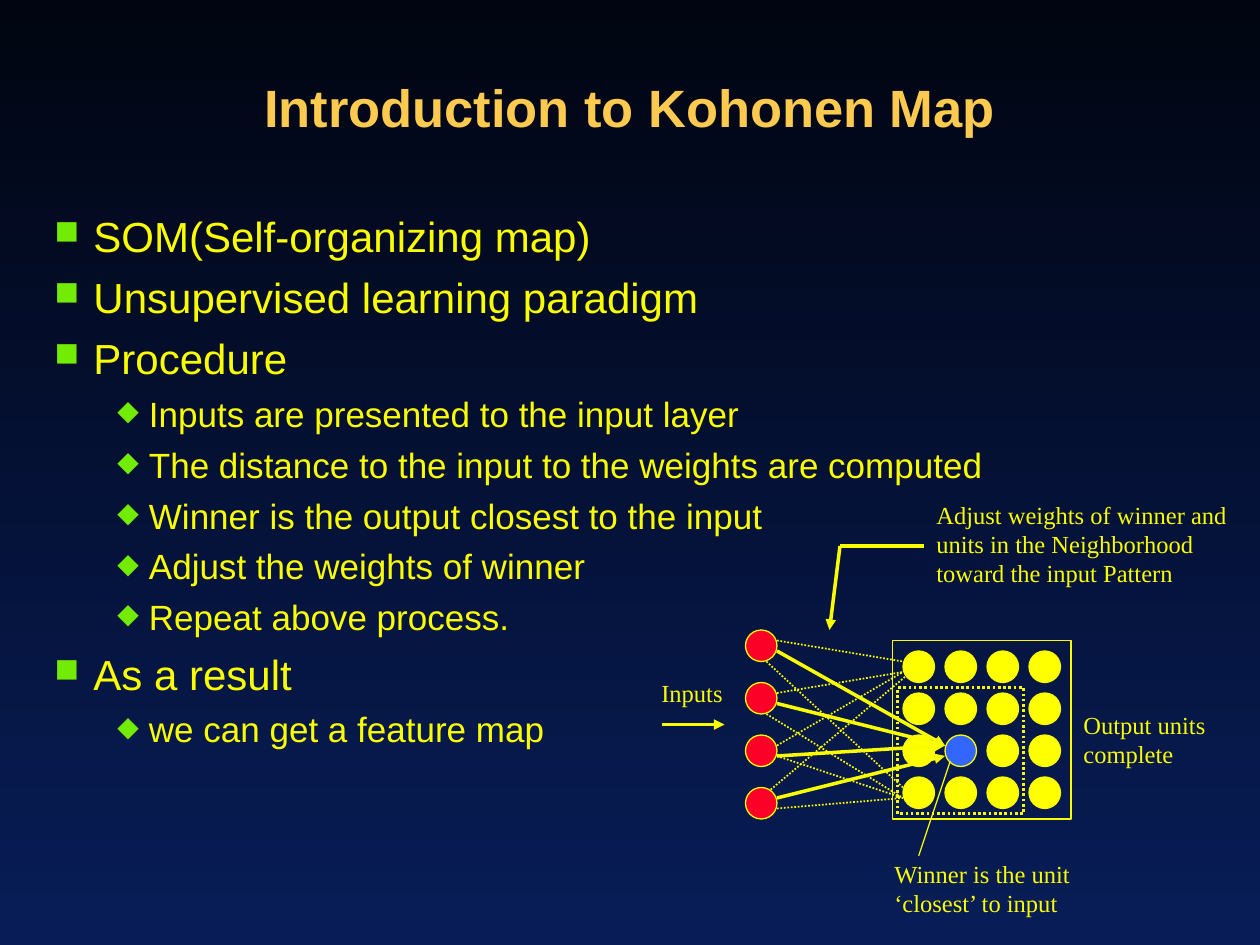
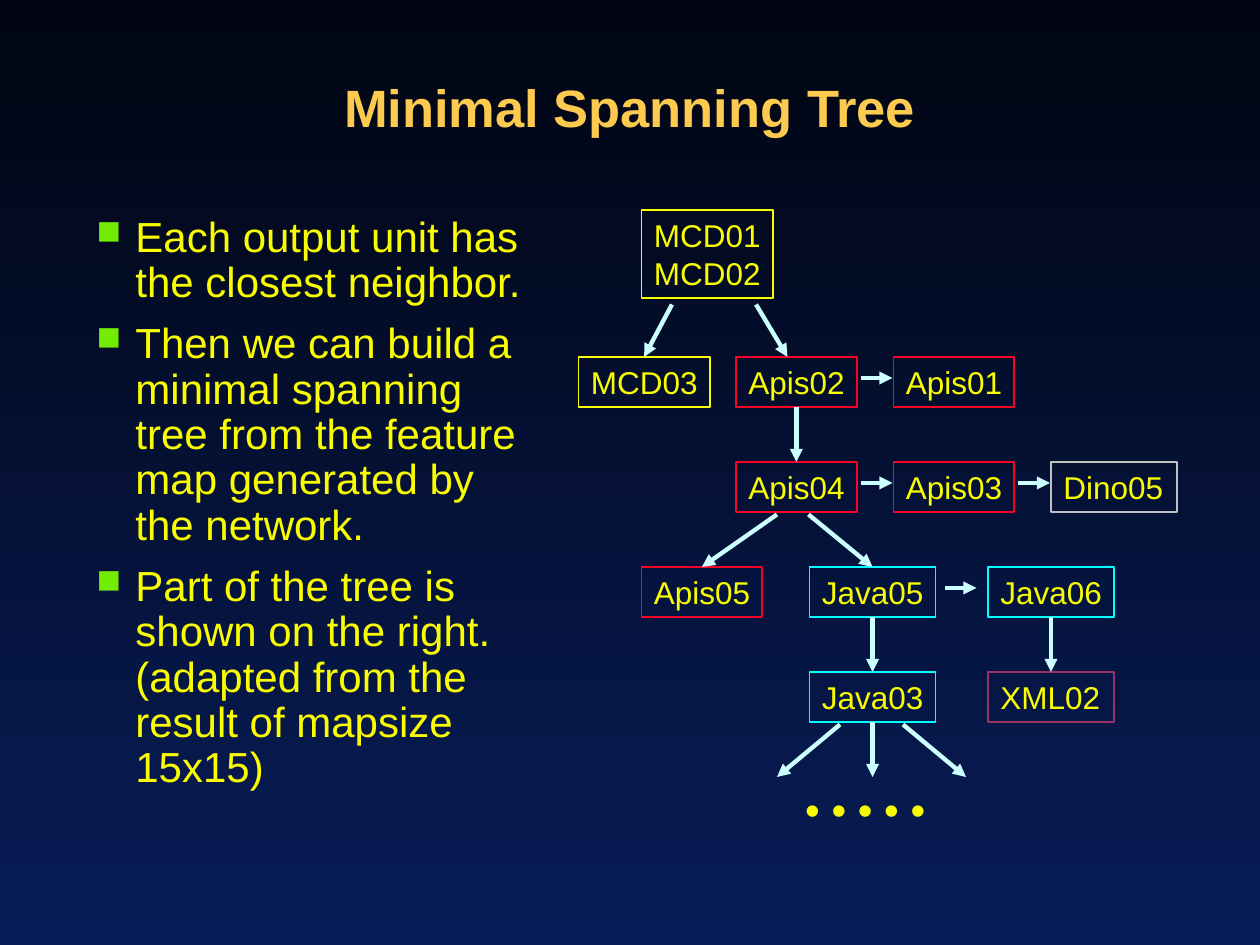
import dataclasses

import lxml.etree
import pptx
import pptx.dml.color
import pptx.enum.dml
import pptx.enum.shapes
import pptx.enum.text
import pptx.oxml.ns
import pptx.util

SLIDE_WIDTH = pptx.util.Inches(10)
SLIDE_HEIGHT = pptx.util.Inches(7.5)
CELL = SLIDE_WIDTH / 120  # the slide is a grid of 120 columns by 90 rows

NIGHT, NAVY = "010511", "081D58"
GOLD, YELLOW, GREEN = "FBCA4F", "FAFD00", "72EC04"
RED, UNIT_YELLOW, WINNER_BLUE = "FC0128", "FFFF00", "3366FF"
CYAN, SILVER, PLUM, PALE_CYAN = "00FFFF", "C0C0C0", "993366", "CCFFFF"
SANS, SERIF = "Arial", "Times New Roman"

RECT = pptx.enum.shapes.MSO_SHAPE.RECTANGLE
OVAL = pptx.enum.shapes.MSO_SHAPE.OVAL
DOTTED = pptx.enum.dml.MSO_LINE.ROUND_DOT
LEFT = pptx.enum.text.PP_ALIGN.LEFT
CENTER = pptx.enum.text.PP_ALIGN.CENTER
TOP = pptx.enum.text.MSO_ANCHOR.TOP
MIDDLE = pptx.enum.text.MSO_ANCHOR.MIDDLE

# level: (indent in inches, hanging in inches, bullet, size, space before)
BULLET_LEVELS = [(0.31, 0.31, "■", 24, 9), (0.75, 0.25, "◆", 20, 7.5)]


def rgb(hex_string):
    return pptx.dml.color.RGBColor.from_string(hex_string)


def add_xml(parent, tag, **attributes):
    return lxml.etree.SubElement(parent, pptx.oxml.ns.qn(tag), **attributes)


def set_stroke(line, color, width, dash=None):
    line.color.rgb = rgb(color)
    line.width = pptx.util.Pt(width)
    if dash:
        line.dash_style = dash


def set_font(paragraph, face, size, color, bold=False):
    for run in paragraph.runs:
        run.font.name = face
        run.font.size = pptx.util.Pt(size)
        run.font.color.rgb = rgb(color)
        run.font.bold = bold


def write_label(frame, text, face, size):
    """Unwrapped, left-aligned text; no right margin, so each line has room."""
    frame.text = text
    frame.word_wrap = False
    frame.auto_size = pptx.enum.text.MSO_AUTO_SIZE.SHAPE_TO_FIT_TEXT
    frame.vertical_anchor = TOP
    frame.margin_right = 0
    for paragraph in frame.paragraphs:
        paragraph.alignment = LEFT
        set_font(paragraph, face, size, YELLOW)


@dataclasses.dataclass
class Region:
    """Part of a slide; its contents are placed in cells from its corner."""
    slide: object
    left: float
    top: float

    def point(self, column, row):
        return round((self.left + column) * CELL), round((self.top + row) * CELL)

    def frame(self, column, row, width, height):
        return *self.point(column, row), round(width * CELL), round(height * CELL)

    def shape(self, kind, cells, stroke, fill=None):
        shape = self.slide.shapes.add_shape(kind, *self.frame(*cells))
        shape.shadow.inherit = False
        if fill:
            shape.fill.solid()
            shape.fill.fore_color.rgb = rgb(fill)
        else:
            shape.fill.background()
        set_stroke(shape.line, *stroke)
        return shape

    def text(self, cells):
        return self.slide.shapes.add_textbox(*self.frame(*cells)).text_frame

    def line(self, start, end, stroke, arrow=False):
        connector = self.slide.shapes.add_connector(
            pptx.enum.shapes.MSO_CONNECTOR.STRAIGHT,
            *self.point(*start), *self.point(*end))
        set_stroke(connector.line, *stroke)
        if arrow:
            add_xml(connector.line._get_or_add_ln(), "a:tailEnd", type="triangle")
        add_xml(connector._element.spPr, "a:effectLst")
        return connector


def new_slide(presentation, title):
    slide = presentation.slides.add_slide(presentation.slide_layouts[6])
    fill = slide.background.fill
    fill.gradient()
    fill.gradient_angle = 270
    for stop, color in zip(fill.gradient_stops, (NIGHT, NAVY)):
        stop.color.rgb = rgb(color)

    frame = Region(slide, 3, 3).text((0, 0, 114, 15))
    frame.word_wrap = True
    frame.vertical_anchor = MIDDLE
    frame.text = title
    heading = frame.paragraphs[0]
    heading.alignment = CENTER
    heading.line_spacing = 0.9
    set_font(heading, SANS, 30, GOLD, bold=True)
    return slide


def add_bullets(region, width, items):
    """Items are (level, text) pairs."""
    frame = region.text((0, 0, width, 67))
    frame.word_wrap = True
    frame.text = "\n".join(text for _, text in items)
    for index, (paragraph, (level, _)) in enumerate(zip(frame.paragraphs, items)):
        indent, hanging, bullet, size, space = BULLET_LEVELS[level]
        properties = paragraph._p.get_or_add_pPr()
        properties.set("marL", str(pptx.util.Inches(indent)))
        properties.set("indent", str(-pptx.util.Inches(hanging)))
        add_xml(add_xml(properties, "a:buClr"), "a:srgbClr", val=GREEN)
        add_xml(properties, "a:buSzPct", val="80000")
        add_xml(properties, "a:buChar", char=bullet)
        paragraph.level = level
        paragraph.line_spacing = 0.9
        if index:
            paragraph.space_before = pptx.util.Pt(space)
        set_font(paragraph, SANS, size, YELLOW)


def add_network(region):
    """Input units, the output map and the weights between them."""
    thin, bold, dotted = (YELLOW, 0.75), (YELLOW, 2), (YELLOW, 1, DOTTED)

    for index in range(4):
        region.shape(OVAL, (10, 13 + 5 * index, 3, 3), thin, RED)
    for column in range(4):
        for row in range(4):
            fill = WINNER_BLUE if (column, row) == (1, 2) else UNIT_YELLOW
            region.shape(OVAL, (25 + 4 * column, 15 + 4 * row, 3, 3), thin, fill)
    region.shape(RECT, (24, 14, 17, 17), thin)
    region.shape(RECT, (24.5, 18.5, 12, 12), (YELLOW, 1.5, DOTTED))

    winner_weights = [((13, 15), (29, 24)), ((13, 20), (29, 24)),
                      ((13, 25), (29, 24)), ((13, 29), (29, 25))]
    for start, end in winner_weights:
        region.line(start, end, bold, arrow=True)
    other_weights = [
        ((13, 30), (25, 29)), ((12.4, 28.2), (25.5, 17.2)),
        ((13, 14), (25, 16)), ((12, 16), (25, 28)),
        ((13, 19), (25, 17)), ((12, 21), (25, 29)),
        ((13, 25), (25, 29)), ((13, 24), (25, 17)),
    ]
    for start, end in other_weights:
        region.line(start, end, dotted)

    region.line((29.5, 25.5), (26.5, 34.5), thin)
    region.line((2, 22), (8, 22), bold, arrow=True)
    region.line((27, 5), (19, 5), bold)
    region.line((19, 5), (18, 13), bold, arrow=True)

    captions = [
        ((23, 34.2, 19.2, 6.8), "Winner is the unit\n‘closest’ to input"),
        ((41, 20, 14, 6.8), "Output units\ncomplete"),
        ((0.8, 17, 8.3, 4.1), "Inputs"),
        ((27, 0, 30, 9.6), "Adjust weights of winner and\n"
                           "units in the Neighborhood\ntoward the input Pattern"),
    ]
    for cells, caption in captions:
        write_label(region.text(cells), caption, SERIF, 14)


def add_tree(region):
    """Nodes stand on levels ten rows apart, below a taller root."""
    bottom, top = 2, 0
    # label, column, level, width, outline
    nodes = [
        ("MCD01\nMCD02", 6, 0, 12.5, YELLOW),
        ("MCD03", 0, 1, 12.5, YELLOW),
        ("Apis02", 15, 1, 11.5, RED),
        ("Apis01", 30, 1, 11.5, RED),
        ("Apis04", 15, 2, 11.5, RED),
        ("Apis03", 30, 2, 11.5, RED),
        ("Dino05", 45, 2, 12, SILVER),
        ("Apis05", 6, 3, 11.5, RED),
        ("Java05", 22, 3, 12, CYAN),
        ("Java06", 39, 3, 12, CYAN),
        ("Java03", 22, 4, 12, CYAN),
        ("XML02", 39, 4, 12, PLUM),
    ]
    boxes = {}
    for label, column, level, width, outline in nodes:
        row, height = (4 + 10 * level, 4.8) if level else (0, 8.4)
        box = region.shape(RECT, (column + 0.1, row, width, height), (outline, 1))
        write_label(box.text_frame, label, SANS, 18)
        boxes[label] = box

    # each end is a (node, side) pair or a free (column, row) point
    edges = [
        ((9, 9), ("MCD03", top)),
        ((17, 9), (20, 14)),
        ((27, 16), (30, 16)),
        (("Apis02", bottom), ("Apis04", top)),
        ((27, 26), (30, 26)),
        ((42, 26), (45, 26)),
        ((19, 29), ("Apis05", top)),
        ((22, 29), ("Java05", top)),
        ((35, 36), (38, 36)),
        (("Java05", bottom), ("Java03", top)),
        (("Java06", bottom), ("XML02", top)),
        ((25, 49), (19, 54)),
        (("Java03", bottom), (28.1, 54)),
        ((31, 49), (37, 54)),
    ]
    for ends in edges:
        joined = [end[0] in boxes for end in ends]
        points = [(0, 0) if joint else end for joint, end in zip(joined, ends)]
        arrow = region.line(*points, (PALE_CYAN, 2.5), arrow=True)
        connects = (arrow.begin_connect, arrow.end_connect)
        for joint, connect, end in zip(joined, connects, ends):
            if joint:
                connect(boxes[end[0]], end[1])

    write_label(region.text((20.5, 54, 15, 6)), "• • • • •", SANS, 24)


def build_kohonen_slide(presentation):
    slide = new_slide(presentation, "Introduction to Kohonen Map")
    add_bullets(Region(slide, 4, 20), 110, [
        (0, "SOM(Self-organizing map)"),
        (0, "Unsupervised learning paradigm"),
        (0, "Procedure"),
        (1, "Inputs are presented to the input layer"),
        (1, "The distance to the input to the weights are computed"),
        (1, "Winner is the output closest to the input"),
        (1, "Adjust the weights of winner"),
        (1, "Repeat above process."),
        (0, "As a result"),
        (1, "we can get a feature map"),
    ])
    add_network(Region(slide, 61, 47))


def build_tree_slide(presentation):
    slide = new_slide(presentation, "Minimal Spanning Tree")
    add_bullets(Region(slide, 8, 20), 44, [
        (0, "Each output unit has the closest neighbor."),
        (0, "Then we can build a minimal spanning tree from the feature map "
            "generated by the network."),
        (0, "Part of the tree is shown on the right. "
            "(adapted from the result of mapsize 15x15)"),
    ])
    add_tree(Region(slide, 55, 20))


def main():
    presentation = pptx.Presentation()
    presentation.slide_width = SLIDE_WIDTH
    presentation.slide_height = SLIDE_HEIGHT
    build_kohonen_slide(presentation)
    build_tree_slide(presentation)
    presentation.save("out.pptx")


if __name__ == "__main__":
    main()
